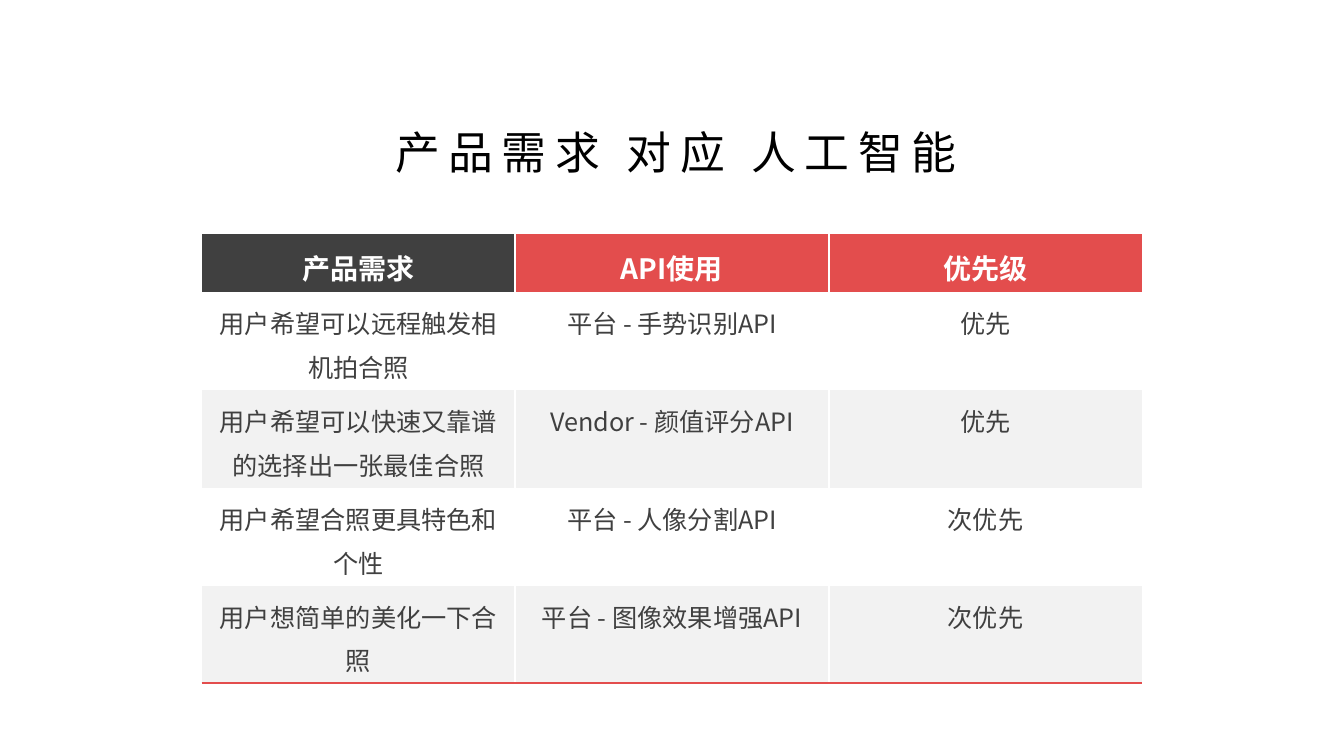
from lxml.etree import SubElement
from pptx import Presentation
from pptx.dml.color import RGBColor
from pptx.enum.text import PP_ALIGN
from pptx.oxml.ns import qn
from pptx.util import Inches, Pt

COLORS = {"black": "000000", "white": "FFFFFF", "dark": "404040",
          "red": "E34D4D", "band": "F2F2F2"}
FONT = "Noto Sans CJK SC"


def write(p, text, size, color, bold=False):
    p.text = text
    p.alignment = PP_ALIGN.CENTER
    p.font.size = Pt(size)
    p.font.bold = bold
    p.font.color.rgb = RGBColor.from_string(COLORS[color])
    p.font.name = FONT
    SubElement(p.font._rPr, qn("a:ea"), typeface=FONT)


def add_border(cell, side, color):
    tcPr = cell._tc.get_or_add_tcPr()
    ln = SubElement(tcPr, qn("a:ln" + side), w=str(Pt(1.5)))
    fill = SubElement(ln, qn("a:solidFill"))
    SubElement(fill, qn("a:srgbClr"), val=COLORS[color])


prs = Presentation()
prs.slide_width, prs.slide_height = Inches(13.33), Inches(7.5)
s = prs.slides.add_slide(prs.slide_layouts[6])

title = s.shapes.add_textbox(Inches(3.66), Inches(1.2), Inches(6.01), Inches(0.66))
tf = title.text_frame
tf.word_wrap = True
tf.margin_left, tf.margin_right = Inches(0.11), Inches(0.03)
tf.margin_top = tf.margin_bottom = Inches(0.04)
write(tf.paragraphs[0], "产品需求 对应 人工智能", 32, "black")
tf.paragraphs[0].font._rPr.set("spc", "600")

rows = [
    ("产品需求", "API使用", "优先级"),
    ("用户希望可以远程触发相机拍合照", "平台 - 手势识别API", "优先"),
    ("用户希望可以快速又靠谱的选择出一张最佳合照", "Vendor - 颜值评分API", "优先"),
    ("用户希望合照更具特色和个性", "平台 - 人像分割API", "次优先"),
    ("用户想简单的美化一下合照", "平台 - 图像效果增强API", "次优先"),
]
last_row, last_col = len(rows) - 1, len(rows[0]) - 1

frame = s.shapes.add_table(len(rows), len(rows[0]), Inches(2), Inches(2.32),
                           Inches(9.33), Inches(4.46))
table = frame.table
table.first_row = table.horz_banding = False
table._tbl.tblPr.find(qn("a:tableStyleId")).text = "{2D5ABB26-0587-4C30-8999-92F81FD0307C}"
for column in table.columns:
    column.width = Inches(3.11)

for i, row in enumerate(rows):
    header = i == 0
    table.rows[i].height = Inches(0.58 if header else 0.97)
    for j, text in enumerate(row):
        cell = table.cell(i, j)
        if j > 0:
            add_border(cell, "L", "white")
        if j < last_col:
            add_border(cell, "R", "white")
        if i == last_row:
            add_border(cell, "B", "red")
        if header:
            fill = "red" if j else "dark"
        else:
            fill = "white" if i % 2 else "band"
        cell.fill.solid()
        cell.fill.fore_color.rgb = RGBColor.from_string(COLORS[fill])
        p = cell.text_frame.paragraphs[0]
        write(p, text, 20 if header else 18, "white" if header else "dark", header)
        p.line_spacing = 1.2

prs.save("out.pptx")
